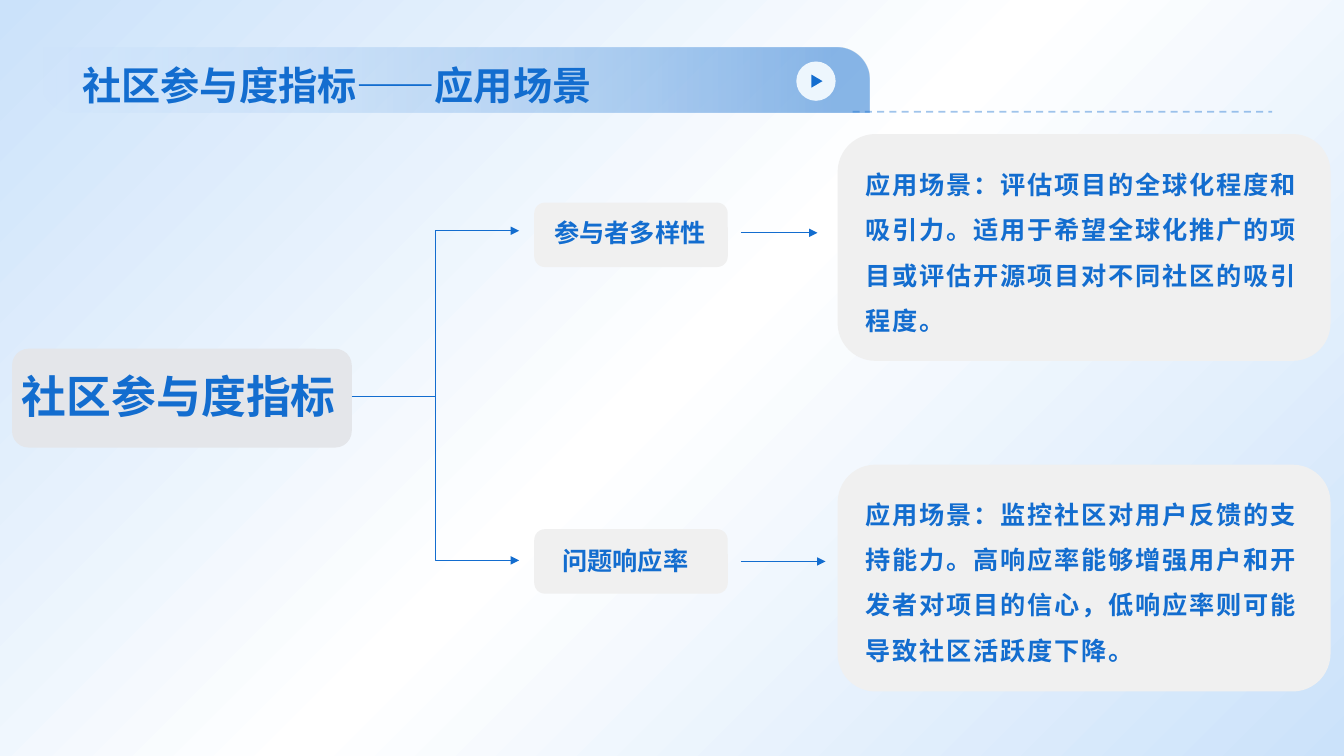
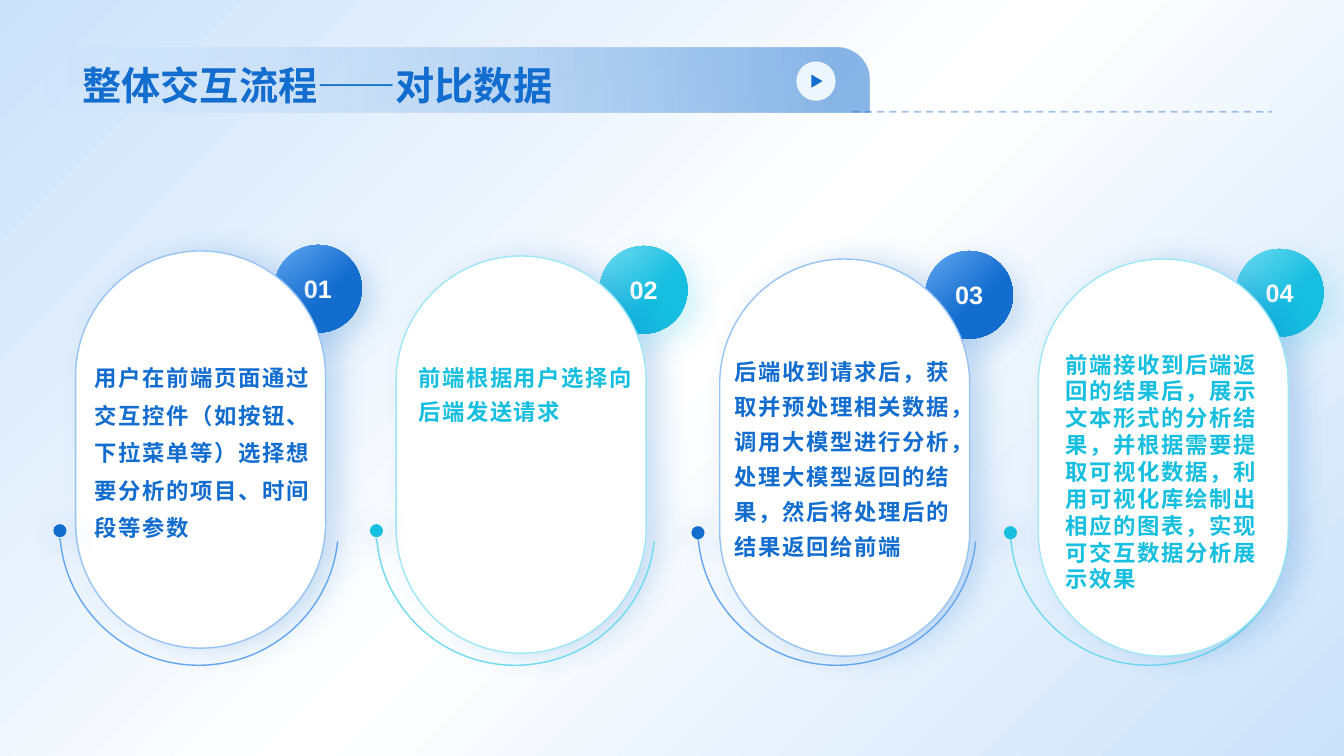
import pptx
import pptx.dml.color
import pptx.enum.dml
import pptx.enum.lang
import pptx.enum.shapes
import pptx.enum.text
import pptx.oxml.ns
import pptx.util
from lxml import etree

Inches = pptx.util.Inches
Pt = pptx.util.Pt
RGBColor = pptx.dml.color.RGBColor
SHAPE = pptx.enum.shapes.MSO_SHAPE
CONNECTOR = pptx.enum.shapes.MSO_CONNECTOR
ANCHOR = pptx.enum.text.MSO_ANCHOR
ALIGN = pptx.enum.text.PP_ALIGN
qn = pptx.oxml.ns.qn

FONT = "Arial"
BLUE = RGBColor(0x13, 0x6D, 0xCF)
MID_BLUE = RGBColor(0x63, 0xA7, 0xF1)
LIGHT_BLUE = RGBColor(0x97, 0xC4, 0xF5)
PALE_BLUE = RGBColor(0xCB, 0xE2, 0xFA)
ICE = RGBColor(0xED, 0xF6, 0xFD)
CYAN = RGBColor(0x16, 0xBE, 0xE0)
MID_CYAN = RGBColor(0x6F, 0xDB, 0xF1)
LIGHT_CYAN = RGBColor(0x9F, 0xE7, 0xF6)
WHITE = RGBColor(0xFF, 0xFF, 0xFF)
ROOT_GRAY = RGBColor(0xE4, 0xE6, 0xEA)
PANEL_GRAY = RGBColor(0xF0, 0xF0, 0xF0)

# main colour, middle tint, light tint
BLUES = (BLUE, MID_BLUE, LIGHT_BLUE)
CYANS = (CYAN, MID_CYAN, LIGHT_CYAN)

TOPICS = [
    dict(topic="参与者多样性", branch_y=2.29, box_y=2.01,
         topic_box=(5.4, 2.11, 1.82, 0.4), arrow_y=2.31, arrow_end=8.11,
         panel_y=1.33, text_y=1.48,
         text="应用场景：评估项目的全球化程度和吸引力。适用于希望全球化推广的项目"
              "或评估开源项目对不同社区的吸引程度。"),
    dict(topic="问题响应率", branch_y=5.56, box_y=5.25,
         topic_box=(5.48, 5.36, 2.25, 0.4), arrow_y=5.57, arrow_end=8.19,
         panel_y=4.61, text_y=4.75,
         text="应用场景：监控社区对用户反馈的支持能力。高响应率能够增强用户和开发者"
              "对项目的信心，低响应率则可能导致社区活跃度下降。"),
]

STEPS = [
    dict(tints=BLUES, pill=(0.75, 2.49), badge=(2.72, 2.43), dot=(0.53, 5.2),
         box=(0.84, 3.23, 2.36, 2.19), spacing=1.4,
         text="用户在前端页面通过交互控件（如按钮、下拉菜单等）选择想要分析的"
              "项目、时间段等参数"),
    dict(tints=CYANS, pill=(3.93, 2.54), badge=(5.95, 2.44), dot=(3.67, 5.2),
         box=(4.05, 3.4, 2.36, 0.87), spacing=1.3,
         text="前端根据用户选择向后端发送请求"),
    dict(tints=BLUES, pill=(7.14, 2.57), badge=(9.18, 2.49), dot=(6.86, 5.22),
         box=(7.19, 3.08, 2.36, 2.52), spacing=1.3,
         text="后端收到请求后，获取并预处理相关数据，调用大模型进行分析，"
              "处理大模型返回的结果，然后将处理后的结果返回给前端"),
    dict(tints=CYANS, pill=(10.3, 2.57), badge=(12.26, 2.47), dot=(9.96, 5.22),
         box=(10.47, 3.43, 2.14, 2.83), anchor=ANCHOR.TOP, arc_behind=True,
         text="前端接收到后端返回的结果后，展示文本形式的分析结果，并根据需要"
              "提取可视化数据，利用可视化库绘制出相应的图表，实现可交互数据"
              "分析展示效果"),
]


def add_xml(parent, tag, **attrs):
    return etree.SubElement(parent, qn(tag), {k: str(v) for k, v in attrs.items()})


def add_color(parent, color, alpha=100):
    clr = add_xml(parent, "a:srgbClr", val=color)
    if alpha < 100:
        add_xml(clr, "a:alpha", val=alpha * 1000)


def set_gradient(fill, props, stops, angle):
    """Fill with stops of (percent, colour[, alpha]); angle runs clockwise."""
    fill.solid()
    solid = props.find(qn("a:solidFill"))
    grad = etree.Element(qn("a:gradFill"), rotWithShape="1")
    gs_list = add_xml(grad, "a:gsLst")
    for pos, *color in stops:
        add_color(add_xml(gs_list, "a:gs", pos=pos * 1000), *color)
    add_xml(grad, "a:lin", ang=angle * 60000, scaled=0)
    props.replace(solid, grad)


def set_shadow(sp, color, alpha, blur, dist, angle):
    effects = sp.element.spPr.find(qn("a:effectLst"))
    shadow = add_xml(effects, "a:outerShdw", blurRad=Pt(blur), dist=Pt(dist),
                     dir=angle * 60000, algn="ctr", rotWithShape=0)
    add_color(shadow, color, alpha)


def write(sp, text, size=18, color=BLUE, align=None, anchor=ANCHOR.TOP,
          spacing=None, tracking=None):
    tf = sp.text_frame
    tf.word_wrap = True
    tf.vertical_anchor = anchor
    p = tf.paragraphs[0]
    p.alignment = align
    p.line_spacing = spacing
    r = p.add_run()
    r.text = text
    r.font.name = FONT
    r.font.size = Pt(size)
    r.font.bold = True
    r.font.color.rgb = color
    r.font.language_id = pptx.enum.lang.MSO_LANGUAGE_ID.SIMPLIFIED_CHINESE
    if tracking:
        r.font._element.set("spc", str(round(tracking * 100)))


def add_text(s, box, text, **style):
    write(s.shapes.add_textbox(*map(Inches, box)), text, **style)


def style_outline(sp, fill=None, line=None):
    sp.shadow.inherit = False
    if fill is None:
        sp.fill.background()
    else:
        sp.fill.solid()
        sp.fill.fore_color.rgb = fill
    if line is None:
        sp.line.fill.background()
    else:
        sp.line.color.rgb = line
        sp.line.width = Pt(1)


def add_shape(s, kind, box, fill=None, line=None, adjust=()):
    sp = s.shapes.add_shape(kind, *map(Inches, box))
    for i, value in enumerate(adjust):
        sp.adjustments[i] = value
    style_outline(sp, fill, line)
    return sp


def add_line(s, start, end, kind=CONNECTOR.STRAIGHT, width=0.5, arrow=True):
    cxn = s.shapes.add_connector(kind, *map(Inches, start + end))
    cxn.line.color.rgb = BLUE
    cxn.line.width = Pt(width)
    if arrow:
        add_xml(cxn.line._get_or_add_ln(), "a:tailEnd", type="triangle")
    add_xml(cxn.element.spPr, "a:effectLst")
    return cxn


def add_title_band(s, title):
    band = add_shape(s, SHAPE.ROUND_2_DIAG_RECTANGLE, (0.4, 0.47, 8.23, 0.65),
                     adjust=(0, 0.5))
    set_gradient(band.fill, band.element.spPr,
                 [(0, LIGHT_BLUE, 0), (96, BLUE, 50)], 0)
    add_shape(s, SHAPE.OVAL, (7.9, 0.61, 0.39, 0.39), ICE)
    play = add_shape(s, SHAPE.ISOSCELES_TRIANGLE, (8.04, 0.75, 0.13, 0.11), BLUE)
    play.rotation = 90
    rule = add_line(s, (8.46, 1.11), (12.62, 1.11), width=1.25, arrow=False)
    rule.line.dash_style = pptx.enum.dml.MSO_LINE.DASH
    add_xml(next(rule.element.spPr.iter(qn("a:srgbClr"))), "a:alpha", val=40000)
    add_text(s, (0.72, 0.14, 11.88, 0.98), title, size=28, anchor=ANCHOR.BOTTOM)


def add_slide(prs, title):
    s = prs.slides.add_slide(prs.slide_layouts[6])
    add_title_band(s, title)
    return s


def add_topic(s, topic, branch_y, box_y, topic_box, arrow_y, arrow_end,
              panel_y, text_y, text):
    add_line(s, (3.49, 3.93), (5.15, branch_y), CONNECTOR.ELBOW)
    add_shape(s, SHAPE.ROUNDED_RECTANGLE, (5.3, box_y, 1.92, 0.64), PANEL_GRAY)
    add_text(s, topic_box, topic)
    add_line(s, (7.35, arrow_y), (arrow_end, arrow_y))
    add_shape(s, SHAPE.ROUNDED_RECTANGLE, (8.31, panel_y, 4.89, 2.25), PANEL_GRAY)
    add_text(s, (8.49, text_y, 4.53, 1.86), text, spacing=1.5, tracking=1.3)


def add_badge(s, pos, label, tints):
    main_color, mid, _ = tints
    badge = add_shape(s, SHAPE.OVAL, (*pos, 0.87, 0.87))
    set_gradient(badge.fill, badge.element.spPr, [(0, mid), (60, main_color)], 45)
    set_shadow(badge, main_color, 20, 20, 10, 45)
    write(badge, label, color=WHITE, align=ALIGN.CENTER, anchor=ANCHOR.MIDDLE)


def add_pill(s, pos, tints):
    pill = add_shape(s, SHAPE.ROUNDED_RECTANGLE, (*pos, 2.48, 3.94), WHITE,
                     tints[2], adjust=(0.5,))
    set_shadow(pill, BLUE, 20, 20, 10, 0)


def bend(segment, *points):
    """Turn a straight freeform segment into a Bezier curve through its controls."""
    curve = etree.Element(qn("a:cubicBezTo"))
    for x, y in points:
        add_xml(curve, "a:pt", x=Inches(x), y=Inches(y))
    segment.getparent().replace(segment, curve)


def add_arc_with_dot(s, dot, tints):
    """Draw a bowl-shaped arc whose left end carries a dot."""
    left, top = dot[0] + 0.06, 5.34
    corners = [(Inches(left + x), Inches(top + y))
               for x, y in ((2.76, 0.03), (1.38, 1.26), (0.01, 0.03), (0, 0))]
    builder = s.shapes.build_freeform(*corners[0])
    builder.add_line_segments(corners[1:], close=False)
    arc = builder.convert_to_shape()
    right_half, left_half, _ = list(arc.element.iter(qn("a:lnTo")))
    bend(right_half, (2.69, 0.72), (2.1, 1.26), (1.38, 1.26))
    bend(left_half, (0.67, 1.26), (0.08, 0.72), (0.01, 0.03))
    style_outline(arc, line=tints[1])
    sp = add_shape(s, SHAPE.OVAL, (*dot, 0.13, 0.13), tints[0])
    set_shadow(sp, BLUE, 29, 21, 4, 40)


def add_step(s, label, tints, pill, badge, dot, box, text, spacing=None,
             anchor=ANCHOR.BOTTOM, arc_behind=False):
    if arc_behind:
        add_arc_with_dot(s, dot, tints)
    add_badge(s, badge, label, tints)
    add_pill(s, pill, tints)
    if not arc_behind:
        add_arc_with_dot(s, dot, tints)
    add_text(s, box, text, size=16, color=tints[0], anchor=anchor,
             spacing=spacing, tracking=1.2)


def build_scenarios(prs):
    s = add_slide(prs, "社区参与度指标——应用场景")
    add_shape(s, SHAPE.ROUNDED_RECTANGLE, (0.12, 3.46, 3.37, 0.98), ROOT_GRAY)
    add_text(s, (0.12, 3.61, 3.37, 0.64), "社区参与度指标", size=32)
    for topic in TOPICS:
        add_topic(s, **topic)


def build_process(prs):
    s = add_slide(prs, "整体交互流程——对比数据")
    for number, step in enumerate(STEPS, 1):
        add_step(s, f"{number:02d}", **step)


def main():
    prs = pptx.Presentation()
    prs.slide_width, prs.slide_height = Inches(40 / 3), Inches(7.5)
    master = prs.slide_master
    fill = master.background.fill
    set_gradient(fill, next(master.element.iter(qn("p:bgPr"))),
                 [(0, PALE_BLUE), (50, WHITE), (100, PALE_BLUE)], 45)
    build_scenarios(prs)
    build_process(prs)
    prs.save("out.pptx")


if __name__ == "__main__":
    main()
